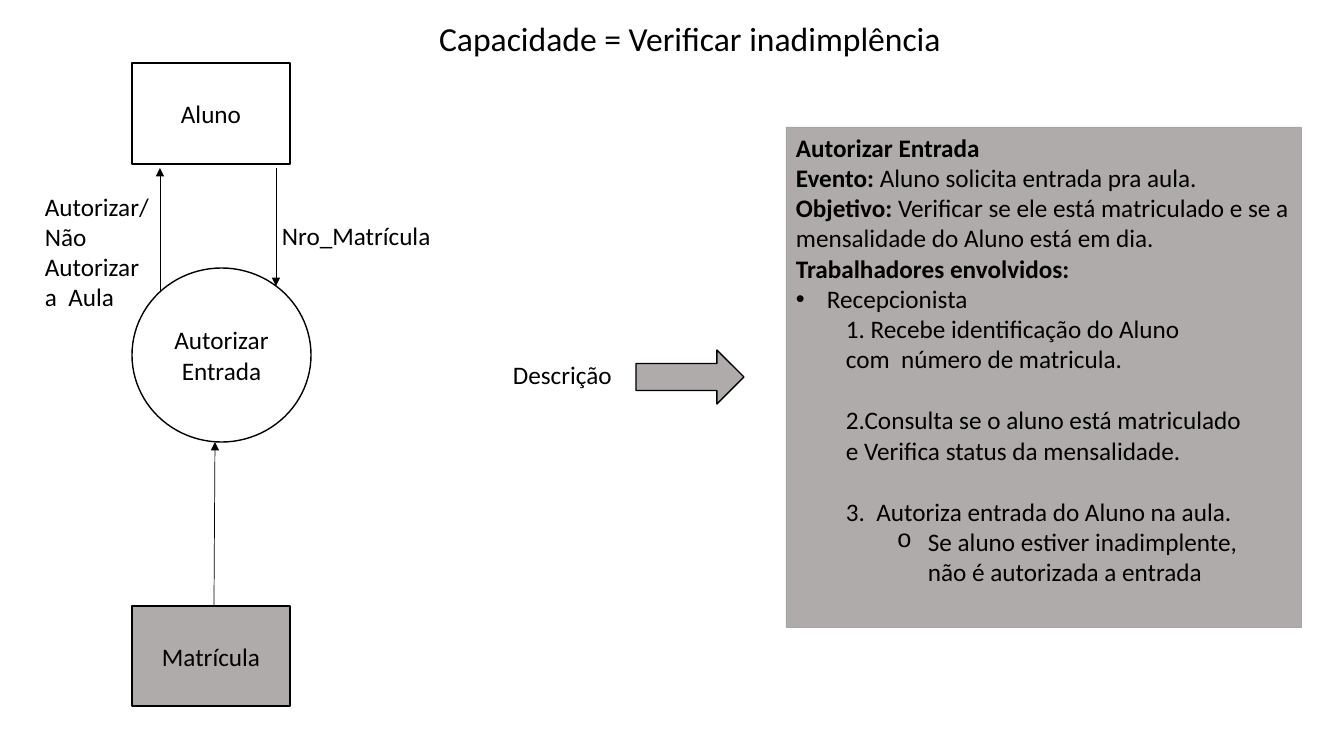
import lxml.etree
import pptx
import pptx.dml.color
import pptx.enum.shapes
import pptx.enum.text
import pptx.oxml.ns
import pptx.util

PIXEL = 914400 / 100.8
BLACK = pptx.dml.color.RGBColor(0x00, 0x00, 0x00)
WHITE = pptx.dml.color.RGBColor(0xFF, 0xFF, 0xFF)
GREY = pptx.dml.color.RGBColor(0xAF, 0xAB, 0xAB)
BORDER_GREY = pptx.dml.color.RGBColor(0xA5, 0xA5, 0xA5)
SHAPES = pptx.enum.shapes.MSO_SHAPE
ANCHORS = pptx.enum.text.MSO_ANCHOR
LEFT = pptx.enum.text.PP_ALIGN.LEFT
CENTER = pptx.enum.text.PP_ALIGN.CENTER
qualified = pptx.oxml.ns.qn


def emu(pixels):
    """Turn pixels into whole EMU."""
    return pptx.util.Emu(round(pixels * PIXEL))


def write(shape, paragraphs, size=18, align=LEFT, anchor=ANCHORS.TOP):
    """Fill a shape with paragraphs, each a list of (text, bold) runs."""
    frame = shape.text_frame
    frame.word_wrap = True
    frame.vertical_anchor = anchor
    for index, runs in enumerate(paragraphs):
        paragraph = frame.add_paragraph() if index else frame.paragraphs[0]
        paragraph.alignment = align
        for text, bold in runs:
            run = paragraph.add_run()
            run.text = text
            run.font.name = "Calibri"
            run.font.size = pptx.util.Pt(size)
            run.font.bold = bold
            run.font.color.rgb = BLACK


presentation = pptx.Presentation()
presentation.slide_width = emu(1344)
presentation.slide_height = emu(756)
slide = presentation.slides.add_slide(presentation.slide_layouts[6])

# Boxes, process circle, description panel and block arrow
shapes = []
for preset, box, fill, border, width in [
    (SHAPES.RECTANGLE, (132, 63, 158, 101), WHITE, BLACK, 1),
    (SHAPES.RECTANGLE, (132, 606, 158, 100), GREY, BLACK, 1),
    (SHAPES.OVAL, (132, 268, 179, 174), WHITE, BLACK, 1),
    (SHAPES.RECTANGLE, (786, 127, 515, 500), GREY, BORDER_GREY, 0.5),
    (SHAPES.RIGHT_ARROW, (636, 350, 108, 54), GREY, BLACK, 1),
]:
    shape = slide.shapes.add_shape(preset, *map(emu, box))
    shape.shadow.inherit = False
    shape.fill.solid()
    shape.fill.fore_color.rgb = fill
    shape.line.color.rgb = border
    shape.line.width = pptx.util.Pt(width)
    shapes.append(shape)
student, enrolment, process, panel, arrow = shapes

for shape, lines in [
    (student, ["Aluno"]),
    (enrolment, ["Matrícula"]),
    (process, ["Autorizar", "Entrada"]),
]:
    write(shape, [[(line, False)] for line in lines],
          align=CENTER, anchor=ANCHORS.MIDDLE)

# Data flows: enrolment number, enrolment record, authorization
for start, end in [
    ((276, 168), (276, 286)),
    ((214, 606), (215, 442)),
    ((160, 292), (160, 168)),
]:
    flow = slide.shapes.add_connector(
        pptx.enum.shapes.MSO_CONNECTOR.STRAIGHT, *map(emu, start + end))
    flow.line.color.rgb = BLACK
    flow.line.width = pptx.util.Pt(0.5)
    line = flow.line._get_or_add_ln()
    lxml.etree.SubElement(line, qualified("a:tailEnd"), type="triangle")
    lxml.etree.SubElement(line.getparent(), qualified("a:effectLst"))

# Title and labels
for text, box, size, align in [
    ("Nro_Matrícula", (272, 215, 302, 40), 18, LEFT),
    ("Autorizar/ Não Autorizar a  Aula", (35, 186, 131, 132), 18, LEFT),
    ("Capacidade = Verificar inadimplência", (326, 13, 728, 50), 24, CENTER),
    ("Descrição", (503, 354, 302, 40), 18, LEFT),
]:
    label = slide.shapes.add_textbox(*map(emu, box))
    write(label, [[(text, False)]], size=size, align=align)

# Process description
write(panel, [
    [("Autorizar Entrada", True)],
    [("Evento: ", True), ("Aluno solicita entrada pra aula.", False)],
    [("Objetivo: ", True),
     ("Verificar se ele está matriculado e se a mensalidade do Aluno está em dia.", False)],
    [("Trabalhadores envolvidos:", True)],
    [("Recepcionista", False)],
    [("1. Recebe identificação do Aluno com\u00a0\u00a0número de matricula.", False)],
    [("2.Consulta se o aluno está matriculado e\u00a0Verifica status da mensalidade.", False)],
    [("3.\u00a0\u00a0Autoriza entrada do Aluno na aula.", False)],
    [("Se aluno estiver inadimplente, não\u00a0é autorizada a entrada", False)],
])
worker, *steps, condition = panel.text_frame.paragraphs[4:]
for step in steps[1:]:
    step.space_before = pptx.util.Pt(22)

for paragraph, level, margin, hanging, bullet, bullet_font in [
    (worker, 0, 31, 31, "•", "Arial"),
    *[(step, 1, 50, 0, None, None) for step in steps],
    (condition, 2, 132, 31, "o", "Courier New"),
]:
    paragraph.level = level
    properties = paragraph._p.get_or_add_pPr()
    properties.set("marL", str(emu(margin)))
    properties.set("indent", str(emu(-hanging)))
    if bullet:
        lxml.etree.SubElement(properties, qualified("a:buFont"), typeface=bullet_font)
        lxml.etree.SubElement(properties, qualified("a:buChar"), char=bullet)

presentation.save("out.pptx")
